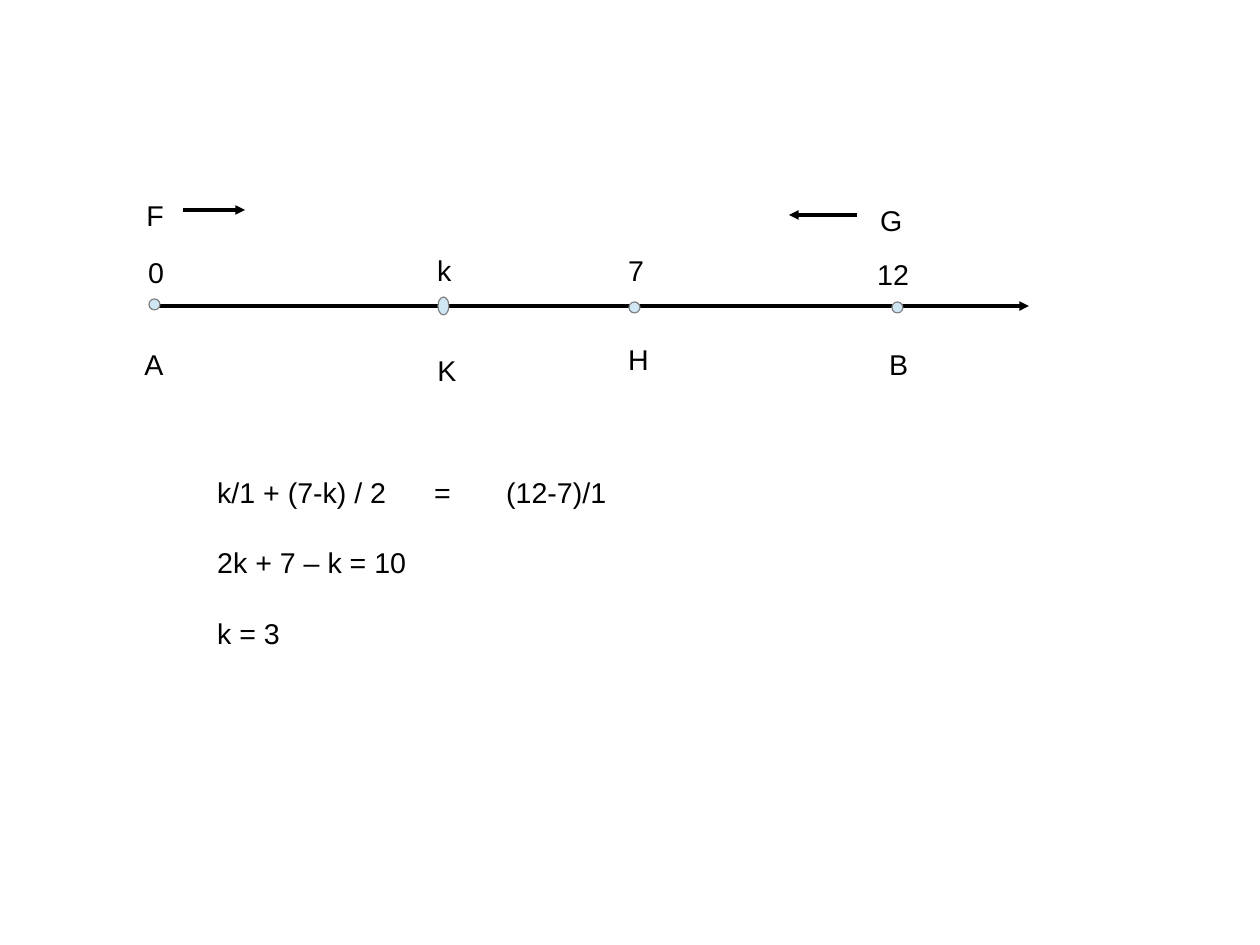
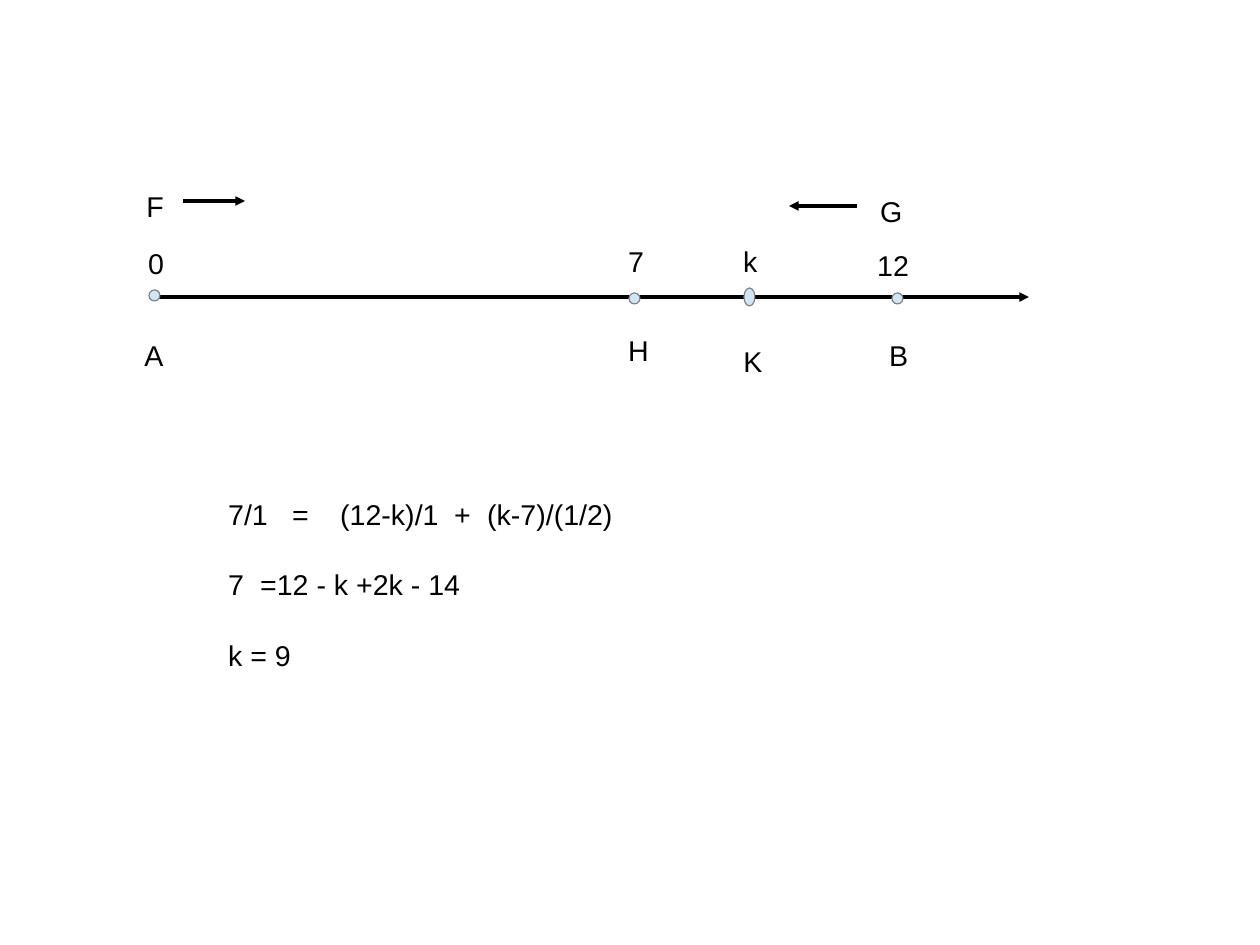
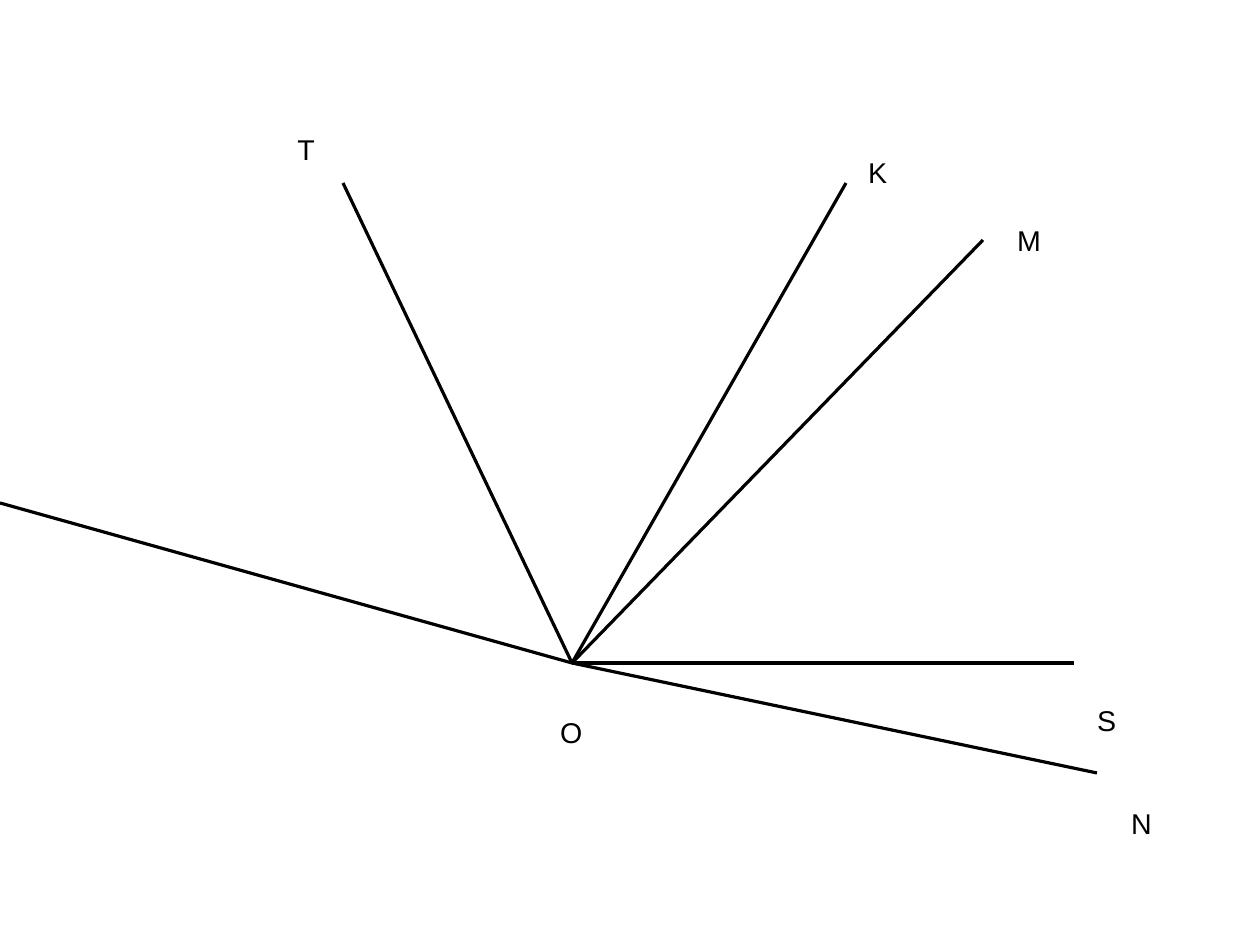
import pptx
import pptx.dml.color
import pptx.enum.shapes
import pptx.enum.text
import pptx.oxml.ns
import pptx.util
import lxml.etree

PX = 8000  # EMU in one px
BLACK, GREY, PALE_BLUE = "000000", "808080", "CFE7F5"
FONT, TEXT_SIZE = "Arial", pptx.util.Pt(18)
DOT = 11
LABEL_HEIGHT = 43
qn = pptx.oxml.ns.qn
color = pptx.dml.color.RGBColor.from_string


def add_text(page, lines, left, top, width, height, tab_stops=()):
    box = page.shapes.add_textbox(left * PX, top * PX, width * PX, height * PX)
    frame = box.text_frame
    frame.word_wrap = False
    frame.auto_size = pptx.enum.text.MSO_AUTO_SIZE.SHAPE_TO_FIT_TEXT
    for index, line in enumerate(lines):
        para = frame.add_paragraph() if index else frame.paragraphs[0]
        if index:
            para.space_before = pptx.util.Pt(22.8)
        if index < len(tab_stops):
            properties = para._p.get_or_add_pPr()
            tab_list = lxml.etree.SubElement(properties, qn("a:tabLst"))
            for stop in tab_stops[index]:
                lxml.etree.SubElement(tab_list, qn("a:tab"), pos=str(stop * PX), algn="l")
        span = para.add_run()
        span.text = line
        span.font.name, span.font.size = FONT, TEXT_SIZE
        span.font.color.rgb = color(BLACK)


def add_line(page, start_x, start_y, end_x, end_y, arrow=False):
    line = page.shapes.add_connector(
        pptx.enum.shapes.MSO_CONNECTOR.STRAIGHT,
        start_x * PX, start_y * PX, end_x * PX, end_y * PX)
    line.line.color.rgb = color(BLACK)
    line.line.width = 0
    if arrow:
        lxml.etree.SubElement(line.line._get_or_add_ln(), qn("a:tailEnd"), type="triangle")
    lxml.etree.SubElement(line._element.spPr, qn("a:effectLst"))


deck = pptx.Presentation()
deck.slide_width, deck.slide_height = 1260 * PX, 945 * PX
blank_layout = deck.slide_layouts[6]

# Number lines: axis height, left of point K, equations with their place and tabs
number_lines = [
    (306, 438, (206, 469, 413, 171),
     ["k/1 + (7-k) / 2\t=\t(12-7)/1", "2k + 7 – k = 10", "k = 3"],
     [(217, 289)]),
    (297, 744, (217, 491, 415, 171),
     ["7/1\t=\t(12-k)/1\t+\t(k-7)/(1/2)", "7\t=12 - k +2k - 14", "k = 9"],
     [(64, 112, 226, 259), (32,)]),
]
for axis, k_left, equation_place, equations, tab_stops in number_lines:
    page = deck.slides.add_slide(blank_layout)
    add_line(page, 149, axis, 1029, axis, arrow=True)

    # Points: left, top from the axis, height
    for left, offset, height in [(149, -7, DOT), (892, -4, DOT),
                                 (k_left, -9, 18), (629, -4, DOT)]:
        point = page.shapes.add_shape(
            pptx.enum.shapes.MSO_SHAPE.OVAL,
            left * PX, (axis + offset) * PX, DOT * PX, height * PX)
        point.shadow.inherit = False
        point.fill.solid()
        point.fill.fore_color.rgb = color(PALE_BLUE)
        point.line.color.rgb = color(GREY)
        point.line.width = 0

    # Labels: left, top from the axis, width
    for label, left, offset, width in [
            ("A", 133, 35, 41), ("B", 878, 35, 41),
            ("0", 137, -57, 39), ("12", 866, -55, 55),
            ("K", k_left - 12, 41, 41), ("k", k_left - 12, -59, 37),
            ("F", 135, -114, 40), ("G", 869, -109, 45),
            ("H", 617, 30, 43), ("7", 617, -59, 39)]:
        add_text(page, [label], left, axis + offset, width, LABEL_HEIGHT)

    # Directions of travel
    add_line(page, 183, axis - 96, 245, axis - 96, arrow=True)
    add_line(page, 857, axis - 91, 789, axis - 91, arrow=True)

    add_text(page, equations, *equation_place, tab_stops)

# Rays from O
page = deck.slides.add_slide(blank_layout)
for end_x, end_y in [(1074, 663), (343, 183), (846, 183),
                     (983, 240), (1097, 773), (0, 503)]:
    add_line(page, 572, 663, end_x, end_y)
for label, left, top, width in [
        ("S", 1086, 697, 41), ("O", 549, 709, 45), ("T", 286, 126, 40),
        ("K", 857, 149, 41), ("M", 1006, 217, 47), ("N", 1120, 800, 43)]:
    add_text(page, [label], left, top, width, 75)

deck.save("out.pptx")
